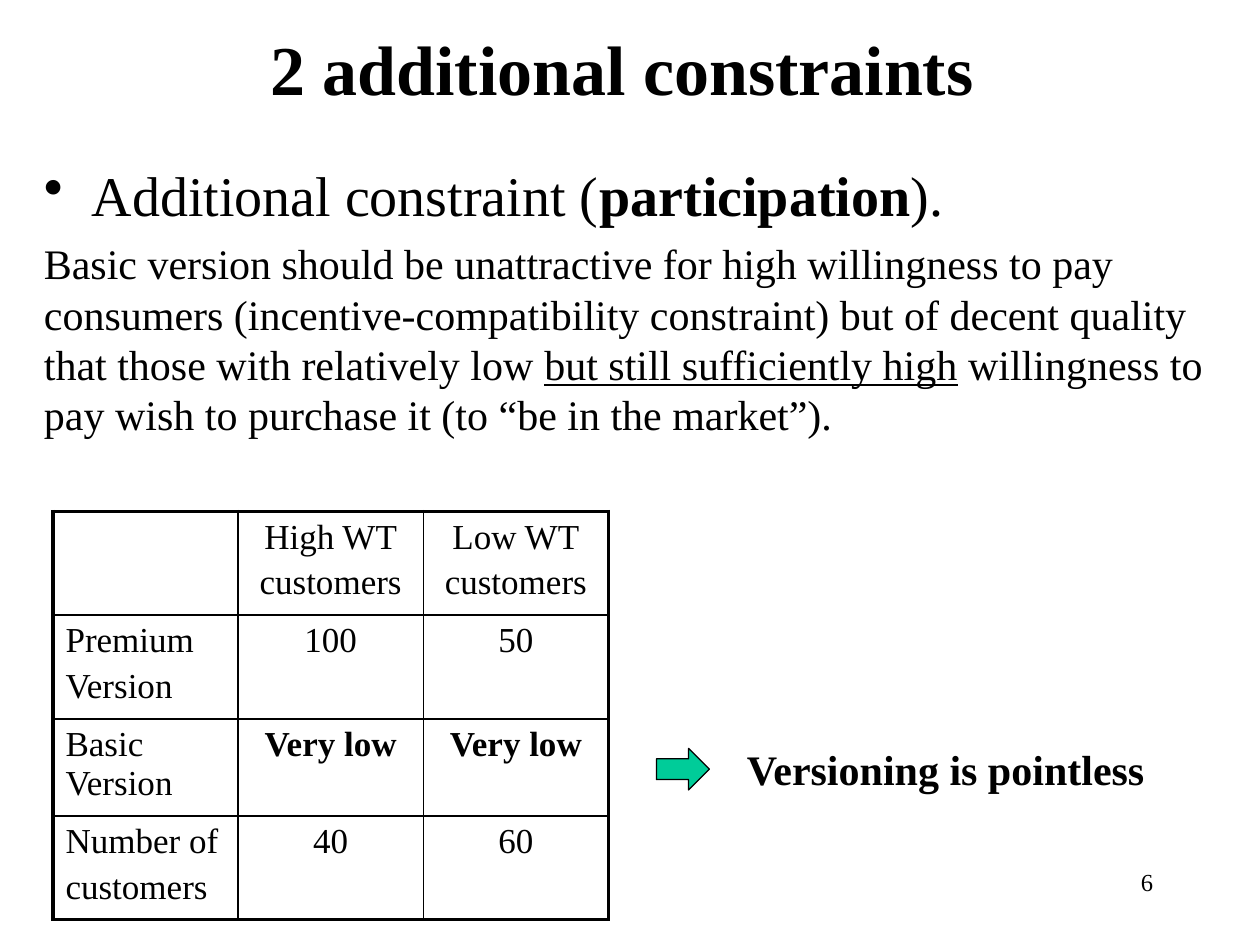
from pptx import Presentation
from pptx.dml.color import RGBColor
from pptx.enum.shapes import MSO_SHAPE
from pptx.enum.text import PP_ALIGN
from pptx.oxml import parse_xml
from pptx.oxml.ns import nsdecls
from pptx.util import Inches, Pt

BLACK = RGBColor(0x00, 0x00, 0x00)
GREEN = RGBColor(0x00, 0xCC, 0x99)
FONT = "Times New Roman"

# Content
TITLE = "2 additional constraints "
BULLET_RUNS = [("Additional constraint (", False), ("participation", True), (").", False)]
BODY_RUNS = [
    ("Basic version should be unattractive for high willingness to pay consumers "
     "(incentive-compatibility constraint) but of decent quality that those with "
     "relatively low ", False),
    ("but still sufficiently high", True),
    (" willingness to pay wish to purchase it (to “be in the market”).", False),
]
TABLE_ROWS = [
    ["", "High WT\ncustomers", "Low WT\ncustomers"],
    ["Premium\nVersion", "100", "50"],
    ["Basic Version", "Very low", "Very low"],
    ["Number of\ncustomers", "40", "60"],
]
ROW_HEIGHTS = [0.82, 0.82, 0.77, 0.82]
COLUMN_WIDTH = 1.47
CONCLUSION = "Versioning is pointless"
SLIDE_NUMBER = "6"


def style(paragraph, size, bold=None, align=PP_ALIGN.LEFT):
    paragraph.alignment = align
    font = paragraph.font
    font.name, font.size, font.bold = FONT, Pt(size), bold
    font.color.rgb = BLACK


def add_text_box(left, top, width, height):
    box = slide.shapes.add_textbox(Inches(left), Inches(top), Inches(width), Inches(height))
    box.text_frame.word_wrap = True
    return box.text_frame


def add_line(text, size, bold, align, *place):
    paragraph = add_text_box(*place).paragraphs[0]
    paragraph.text = text
    style(paragraph, size, bold, align)


def set_borders(cell, outer_sides):
    properties = cell._tc.get_or_add_tcPr()
    for index, side in enumerate("LRTB"):
        width = Pt(2.25 if side in outer_sides else 1)
        properties.insert(index, parse_xml(
            f'<a:ln{side} {nsdecls("a")} w="{width}"><a:solidFill>'
            f'<a:srgbClr val="{BLACK}"/></a:solidFill></a:ln{side}>'))


presentation = Presentation()
presentation.slide_width, presentation.slide_height = Inches(10), Inches(7.5)
slide = presentation.slides.add_slide(presentation.slide_layouts[6])

# Body text
body = add_text_box(0.25, 1.17, 9.75, 2.92)
body.margin_top = Inches(0.1)
bullet = body.paragraphs[0]
bullet_properties = bullet._p.get_or_add_pPr()
bullet_properties.set("marL", str(Inches(0.38)))
bullet_properties.set("indent", str(Inches(-0.38)))
bullet_properties.append(parse_xml(f'<a:buChar {nsdecls("a")} char="•"/>'))
style(bullet, 32)
for text, bold in BULLET_RUNS:
    run = bullet.add_run()
    run.text, run.font.bold = text, bold
explanation = body.add_paragraph()
style(explanation, 24)
explanation.space_before = Pt(6)
for text, underline in BODY_RUNS:
    run = explanation.add_run()
    run.text, run.font.underline = text, underline

# Single-line texts
add_line(SLIDE_NUMBER, 14, False, PP_ALIGN.RIGHT, 7.17, 6.83, 2.08, 0.5)
add_line(TITLE, 40, True, PP_ALIGN.CENTER, -0.08, 0.15, 10.17, 0.77)
add_line(CONCLUSION, 24, True, PP_ALIGN.LEFT, 5.83, 5.85, 3.83, 0.5)

# Willingness-to-pay table
row_count, column_count = len(TABLE_ROWS), len(TABLE_ROWS[0])
table = slide.shapes.add_table(
    row_count, column_count, Inches(0.42), Inches(4.06),
    Inches(COLUMN_WIDTH * column_count), Inches(sum(ROW_HEIGHTS))).table
table.first_row = table.horz_banding = False
for column in table.columns:
    column.width = Inches(COLUMN_WIDTH)
for r, (row, height) in enumerate(zip(TABLE_ROWS, ROW_HEIGHTS)):
    table.rows[r].height = Inches(height)
    for c, text in enumerate(row):
        cell = table.cell(r, c)
        cell.fill.background()
        cell.text = text
        for index, paragraph in enumerate(cell.text_frame.paragraphs):
            style(paragraph, 20, text == "Very low", PP_ALIGN.CENTER if c else PP_ALIGN.LEFT)
            if index:
                paragraph.space_before = Pt(4)
        edges = {"L": c == 0, "R": c == column_count - 1, "T": r == 0, "B": r == row_count - 1}
        set_borders(cell, [side for side, outer in edges.items() if outer])

# Arrow to the conclusion
arrow = slide.shapes.add_shape(
    MSO_SHAPE.RIGHT_ARROW, Inches(5.21), Inches(5.94), Inches(0.42), Inches(0.33))
arrow.shadow.inherit = False
arrow.fill.solid()
arrow.fill.fore_color.rgb = GREEN
arrow.line.color.rgb = BLACK
arrow.line.width = Pt(0.75)

presentation.save("out.pptx")
